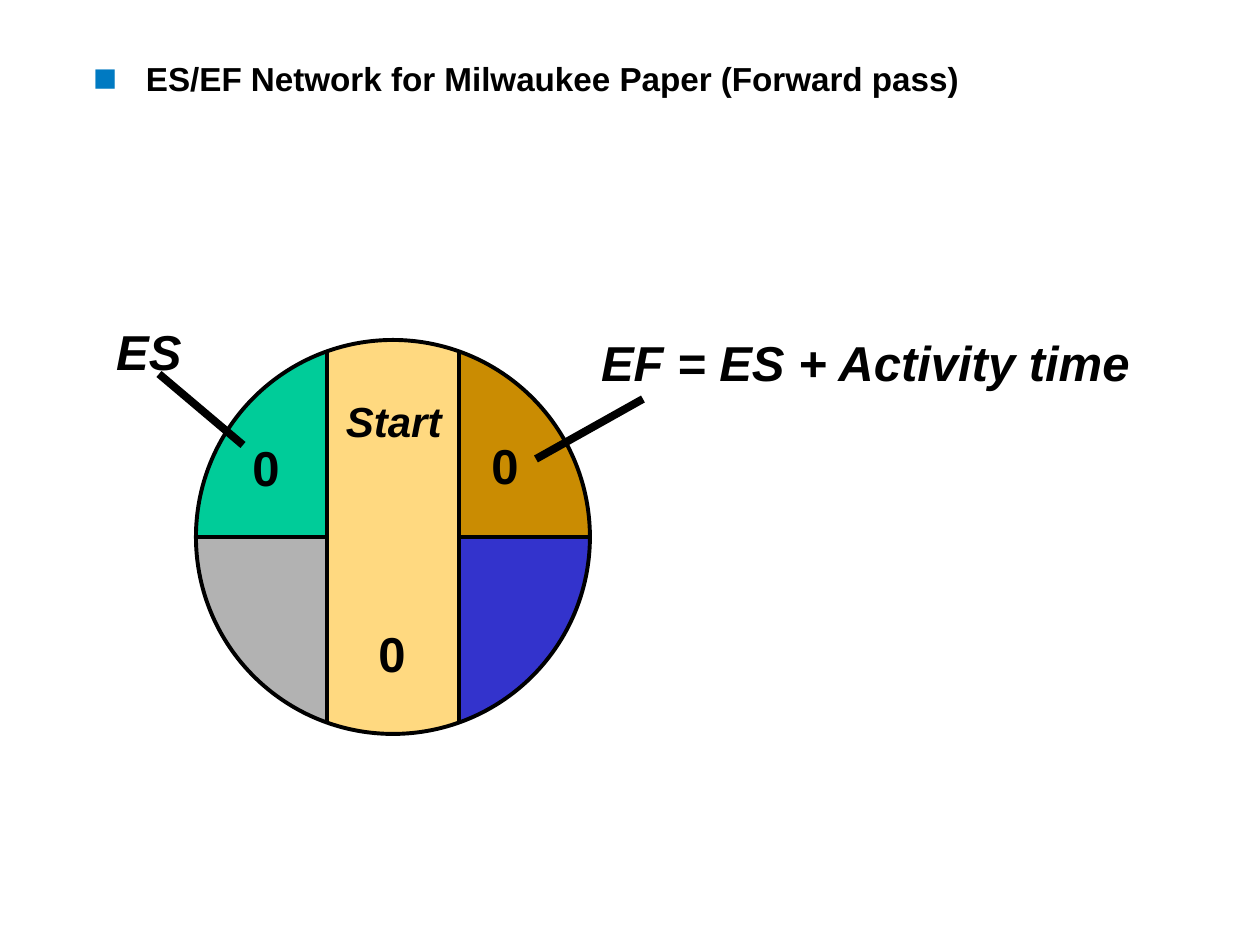
from dataclasses import dataclass
from math import acos, cos, sin

from lxml.etree import SubElement
from pptx import Presentation
from pptx.dml.color import RGBColor
from pptx.enum.shapes import MSO_CONNECTOR, MSO_SHAPE
from pptx.enum.text import MSO_ANCHOR, MSO_AUTO_SIZE, PP_ALIGN
from pptx.oxml.ns import qn
from pptx.util import Pt

PX = 914400 // 126
CENTER_X, CENTER_Y, RADIUS = 393, 537, 197
BAND = 66  # half the width of the middle band
ARC_STEPS = 24


@dataclass(frozen=True)
class Theme:
    font: str = "Arial"
    ink: str = "000000"
    bullet: str = "007AC2"
    band: str = "FFD980"
    early_start: str = "00CC99"
    early_finish: str = "CA8C02"
    late_start: str = "B2B2B2"
    late_finish: str = "3333CC"
    title_size: int = 19
    name_size: int = 24
    value_size: int = 28
    outline: float = 2.25
    pointer: float = 4.5


THEME = Theme()


def px(*lengths):
    return [length * PX for length in lengths]


def color(code):
    return RGBColor.from_string(code)


def write(paragraph, text, size=THEME.value_size, italic=False, align=PP_ALIGN.RIGHT):
    paragraph.alignment = align
    run = paragraph.add_run()
    run.text = text
    font = run.font
    font.name, font.size = THEME.font, Pt(size)
    font.bold, font.italic = True, italic
    font.color.rgb = color(THEME.ink)


def add_label(slide, text, left, top, width, height=72, **text_format):
    frame = slide.shapes.add_textbox(*px(left, top, width, height)).text_frame
    frame.word_wrap = False
    frame.auto_size = MSO_AUTO_SIZE.SHAPE_TO_FIT_TEXT
    write(frame.paragraphs[0], text, **text_format)


def add_square_bullet(paragraph, indent):
    properties = paragraph._p.get_or_add_pPr()
    properties.set("marL", str(indent))
    properties.set("indent", str(-indent))
    bullet_color = SubElement(properties, qn("a:buClr"))
    SubElement(bullet_color, qn("a:srgbClr"), val=THEME.bullet)
    SubElement(properties, qn("a:buSzPct"), val="120000")
    SubElement(properties, qn("a:buFont"), typeface=THEME.font)
    SubElement(properties, qn("a:buChar"), char="■")


def set_title(slide, text):
    title = slide.shapes.title
    title.left, title.top, title.width, title.height = px(93, 58, 1071, 184)
    frame = title.text_frame
    frame.margin_left = frame.margin_top = frame.margin_right = frame.margin_bottom = 0
    frame.vertical_anchor = MSO_ANCHOR.TOP
    frame.word_wrap = True
    frame.auto_size = MSO_AUTO_SIZE.NONE
    heading = frame.paragraphs[0]
    add_square_bullet(heading, 53 * PX)
    write(heading, text, size=THEME.title_size, align=PP_ALIGN.LEFT)


def add_line(slide, start, end, width=THEME.outline):
    line = slide.shapes.add_connector(MSO_CONNECTOR.STRAIGHT, *px(*start, *end))
    line.line.color.rgb = color(THEME.ink)
    line.line.width = Pt(width)
    SubElement(line._element.spPr, qn("a:effectLst"))


def paint(shape, fill=None, outlined=False):
    shape.shadow.inherit = False
    if fill:
        shape.fill.solid()
        shape.fill.fore_color.rgb = color(fill)
    else:
        shape.fill.background()
    if outlined:
        shape.line.color.rgb = color(THEME.ink)
        shape.line.width = Pt(THEME.outline)
    else:
        shape.line.fill.background()


def add_disc(slide, **look):
    box = px(CENTER_X - RADIUS, CENTER_Y - RADIUS, 2 * RADIUS, 2 * RADIUS)
    paint(slide.shapes.add_shape(MSO_SHAPE.OVAL, *box), **look)


def add_segment(slide, side_x, side_y, fill):
    """Fill the part of the disc beside the band; sides are -1 or 1."""
    sweep = acos(BAND / RADIUS)
    angles = [sweep * step / ARC_STEPS for step in range(ARC_STEPS + 1)]
    arc = [(CENTER_X + side_x * RADIUS * cos(angle),
            CENTER_Y + side_y * RADIUS * sin(angle)) for angle in angles]
    outline = slide.shapes.build_freeform(*arc[0], scale=PX)
    outline.add_line_segments(arc[1:] + [(CENTER_X + side_x * BAND, CENTER_Y)])
    paint(outline.convert_to_shape(), fill)


def add_node(slide):
    add_disc(slide, fill=THEME.band)
    add_segment(slide, -1, -1, THEME.early_start)
    add_segment(slide, 1, -1, THEME.early_finish)
    add_segment(slide, 1, 1, THEME.late_finish)
    add_segment(slide, -1, 1, THEME.late_start)
    add_disc(slide, outlined=True)
    half_chord = round(RADIUS * sin(acos(BAND / RADIUS)))
    for side in (-1, 1):
        edge = CENTER_X + side * BAND
        add_line(slide, (edge, CENTER_Y - half_chord), (edge, CENTER_Y + half_chord))
        add_line(slide, (edge, CENTER_Y), (CENTER_X + side * RADIUS, CENTER_Y))


def main():
    deck = Presentation()
    deck.slide_width, deck.slide_height = px(1260, 945)
    slide = deck.slides.add_slide(deck.slide_layouts[5])
    set_title(slide, "ES/EF Network for Milwaukee Paper (Forward pass)")
    add_node(slide)

    add_label(slide, "Start", 333, 389, 121, 63, size=THEME.name_size, italic=True)
    for left, top in ((365, 617), (239, 431), (478, 429)):
        add_label(slide, "0", left, top, 53)
    add_label(slide, "ES", 103, 315, 91, italic=True)
    add_label(slide, "EF = ES + Activity time", 585, 326, 557, italic=True)
    add_line(slide, (159, 374), (243, 445), THEME.pointer)
    add_line(slide, (643, 399), (536, 459), THEME.pointer)
    deck.save("out.pptx")


if __name__ == "__main__":
    main()
